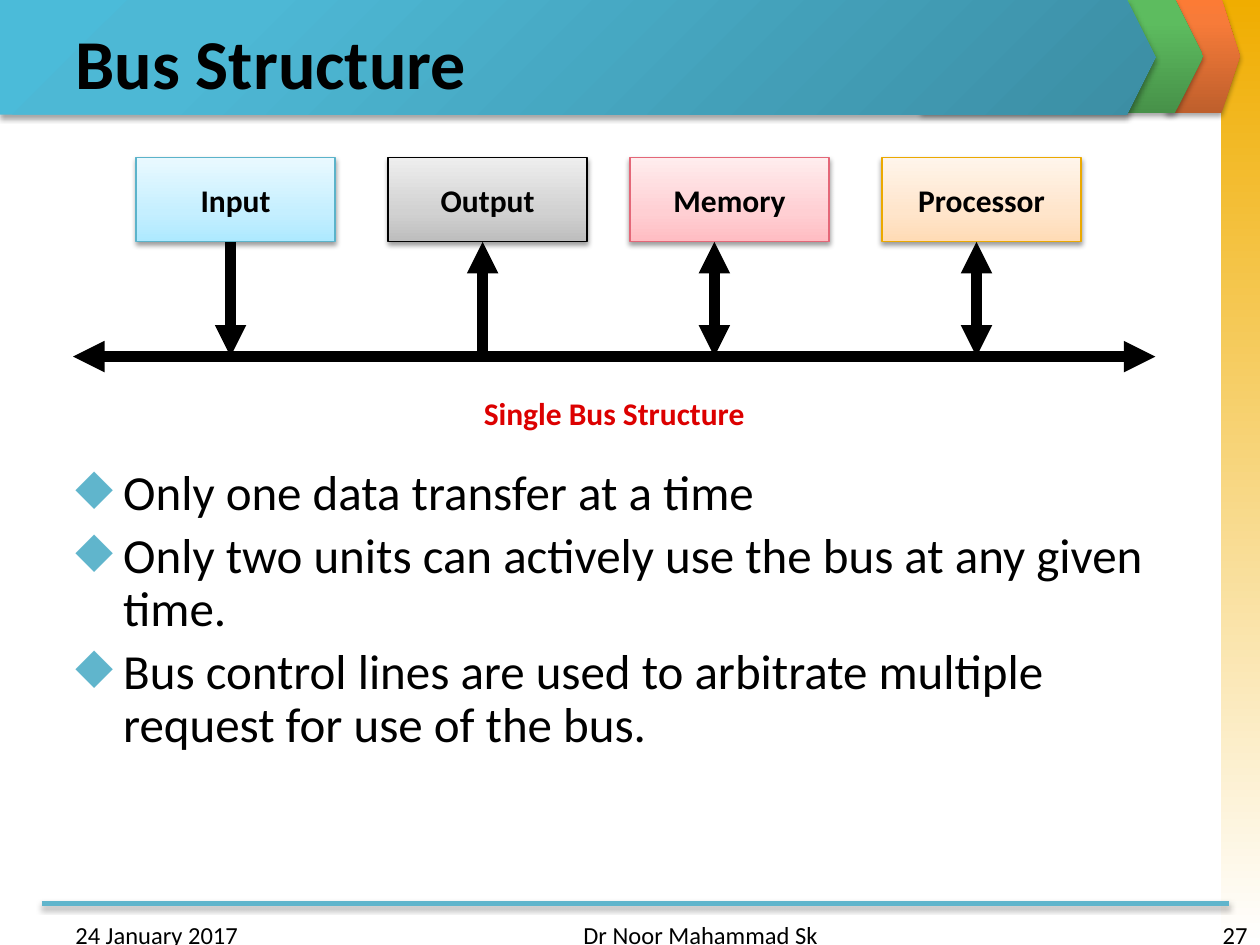
from lxml.etree import SubElement
from pptx import Presentation
from pptx.dml.color import RGBColor
from pptx.enum.shapes import MSO_CONNECTOR, MSO_SHAPE
from pptx.enum.text import MSO_ANCHOR, PP_ALIGN
from pptx.oxml.ns import qn
from pptx.util import Inches, Pt

FONT = "Calibri"
BLACK, TEAL, RED = "000000", "60B5CC", "DC0000"
BOX_TOP, BOX_WIDTH, BOX_HEIGHT = 1.25, 1.58, 0.67
BOX_BOTTOM, BUS_Y = BOX_TOP + BOX_HEIGHT, 2.83
HEADER_HEIGHT = 0.91

# label, box left, arrow x, (arrow at unit, arrow at bus), line colour, gradient colours
UNITS = [
    ("Input", 1.08, 1.83, (False, True), "5BB3CA", ("ADE9FF", "C5EFFF", "E9F9FF")),
    ("Output", 3.08, 3.83, (True, False), BLACK, ("BDBDBD", "D1D1D1", "EEEEEE")),
    ("Memory", 5, 5.67, (True, True), "E46778", ("FFBCC2", "FFCFD3", "FFEDEE")),
    ("Processor", 7, 7.75, (True, True), "EBA900", ("FFDBB5", "FFE5CB", "FFF5EB")),
]
POINTS = [
    "Only one data transfer at a time",
    "Only two units can actively use the bus at any given time.",
    "Bus control lines are used to arbitrate multiple request for use of the bus.",
]


def rgb(value):
    return RGBColor.from_string(value)


def add_xml(parent, tag, **attributes):
    return SubElement(parent, qn(tag), {key: str(val) for key, val in attributes.items()})


def set_gradient(shape, stops, angle=None):
    """Fill with (percent, colour) stops; without an angle, radiate from the lower right."""
    shape.fill.gradient()
    gradient = shape._element.spPr.find(qn("a:gradFill"))
    for child in list(gradient):
        gradient.remove(child)
    stop_list = add_xml(gradient, "a:gsLst")
    for percent, colour in stops:
        stop = add_xml(stop_list, "a:gs", pos=percent * 1000)
        add_xml(stop, "a:srgbClr", val=colour)
    if angle is None:
        radial = add_xml(gradient, "a:path", path="circle")
        add_xml(radial, "a:fillToRect", l=100000, t=100000)
    else:
        add_xml(gradient, "a:lin", ang=angle * 60000, scaled=0)


def add_shadow(effects, opacity=35, distance=1.8):
    shadow = add_xml(effects, "a:outerShdw", blurRad=Pt(3.1), dist=Pt(distance),
                     dir=90 * 60000, rotWithShape=0)
    colour = add_xml(shadow, "a:srgbClr", val=BLACK)
    add_xml(colour, "a:alpha", val=opacity * 1000)


def add_panel(slide, kind, area, stops, angle=None):
    panel = slide.shapes.add_shape(kind, *map(Inches, area))
    set_gradient(panel, stops, angle)
    panel.line.fill.background()
    panel.shadow.inherit = False
    return panel


def add_chevron(slide, area, stops, angle=None):
    chevron = add_panel(slide, MSO_SHAPE.PENTAGON, area, stops, angle)
    chevron.adjustments[0] = 0.25
    add_shadow(chevron._element.spPr.find(qn("a:effectLst")))


def add_line(slide, start, end, colour, width, arrows=(False, False)):
    """Draw a straight line and return its effect list."""
    line = slide.shapes.add_connector(MSO_CONNECTOR.STRAIGHT, *map(Inches, start + end))
    line.line.color.rgb = rgb(colour)
    line.line.width = Pt(width)
    for tag, wanted in zip(("a:headEnd", "a:tailEnd"), arrows):
        if wanted:
            add_xml(line.line._get_or_add_ln(), tag, type="triangle")
    return add_xml(line._element.spPr, "a:effectLst")


def set_font(paragraph, size, bold=False, colour=BLACK):
    font = paragraph.font
    font.name, font.size, font.bold = FONT, Pt(size), bold
    font.color.rgb = rgb(colour)


def add_label(slide, area, text, size, align=PP_ALIGN.LEFT, bold=False, colour=BLACK):
    frame = slide.shapes.add_textbox(*map(Inches, area)).text_frame
    frame.word_wrap = True
    frame.text = text
    for paragraph in frame.paragraphs:
        paragraph.alignment = align
        set_font(paragraph, size, bold, colour)
    return frame


def add_backdrop(slide):
    add_panel(slide, MSO_SHAPE.RECTANGLE, (9.69, 0, 0.31, 7.5),
              [(0, "F0AD00"), (100, "FFFFFF")], 90)
    add_chevron(slide, (9.25, -0.01, 0.59, HEADER_HEIGHT),
                [(0, "BE5F2C"), (80, "F77B39"), (100, "FC7B35")], 270)
    add_chevron(slide, (7.31, -0.01, 2.24, HEADER_HEIGHT),
                [(0, "479149"), (80, "5DBC5F"), (100, "5BBF5E")], 270)
    add_shadow(add_line(slide, (0.33, 7.17), (9.75, 7.17), TEAL, 3))
    add_chevron(slide, (0, 0, 9.17, HEADER_HEIGHT),
                [(0, "3C8EA4"), (80, "4DB8D5"), (100, "4BBBD9")])


def set_title(slide, text):
    title = slide.shapes.title
    title.left, title.top, title.width, title.height = map(Inches, (0.5, 0.14, 9, 0.69))
    title.text = text
    title.text_frame.vertical_anchor = MSO_ANCHOR.MIDDLE
    paragraph = title.text_frame.paragraphs[0]
    paragraph.alignment = PP_ALIGN.LEFT
    set_font(paragraph, 40, bold=True)
    slide.shapes._spTree.append(title._element)  # in front of the header band


def add_points(slide):
    frame = add_label(slide, (0.5, 3.67, 9, 3.03), "\n".join(POINTS), 28)
    for paragraph in frame.paragraphs:
        paragraph.line_spacing = 0.9
        paragraph.space_before = Pt(5.6)
        properties = paragraph._p.get_or_add_pPr()
        properties.set("marL", str(Inches(0.38)))
        properties.set("indent", str(-Inches(0.38)))
        bullet_colour = properties.makeelement(qn("a:buClr"))
        add_xml(bullet_colour, "a:srgbClr", val=TEAL)
        bullet = properties.makeelement(qn("a:buChar"), {"char": "◆"})
        properties.find(qn("a:defRPr")).addprevious(bullet_colour)
        bullet_colour.addnext(bullet)


def add_unit(slide, label, left, line_colour, colours):
    box = add_panel(slide, MSO_SHAPE.RECTANGLE, (left, BOX_TOP, BOX_WIDTH, BOX_HEIGHT),
                    zip((0, 35, 100), colours), 270)
    box.line.color.rgb = rgb(line_colour)
    box.line.width = Pt(0.75)
    add_shadow(box._element.spPr.find(qn("a:effectLst")), 38, 1.6)
    frame = box.text_frame
    frame.word_wrap = False
    frame.vertical_anchor = MSO_ANCHOR.MIDDLE
    frame.text = label
    frame.paragraphs[0].alignment = PP_ALIGN.CENTER
    set_font(frame.paragraphs[0], 18, bold=True)


def add_bus_diagram(slide):
    for label, left, arrow_x, arrows, line_colour, colours in UNITS:
        add_unit(slide, label, left, line_colour, colours)
        add_line(slide, (arrow_x, BOX_BOTTOM), (arrow_x, BUS_Y), BLACK, 6, arrows)
    add_line(slide, (0.58, BUS_Y), (9.17, BUS_Y), BLACK, 6, (True, True))
    add_label(slide, (2.5, 3.08, 4.75, 0.4), "Single Bus Structure", 18,
              PP_ALIGN.CENTER, True, RED)


def add_footer(slide):
    for left, width, text, align in [
        (0.5, 2.33, "24 January 2017", PP_ALIGN.LEFT),
        (7.67, 2.33, "27", PP_ALIGN.RIGHT),
        (3.42, 3.17, "Dr Noor Mahammad Sk", PP_ALIGN.RIGHT),
    ]:
        add_label(slide, (left, 7.25, width, 0.25), text, 14, align)


def main():
    deck = Presentation()
    deck.slide_width, deck.slide_height = Inches(10), Inches(7.5)
    slide = deck.slides.add_slide(deck.slide_layouts[5])
    add_backdrop(slide)
    set_title(slide, "Bus Structure")
    add_points(slide)
    add_bus_diagram(slide)
    add_footer(slide)
    deck.save("out.pptx")


if __name__ == "__main__":
    main()
